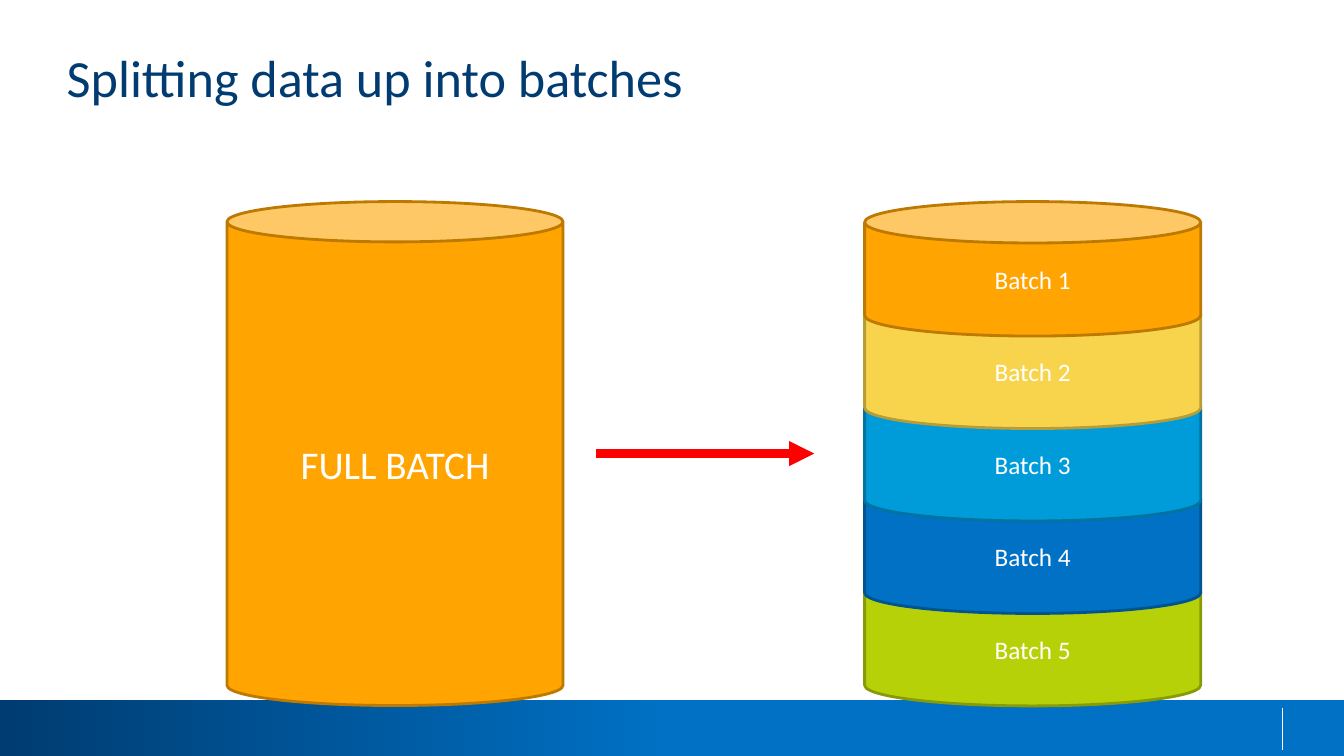
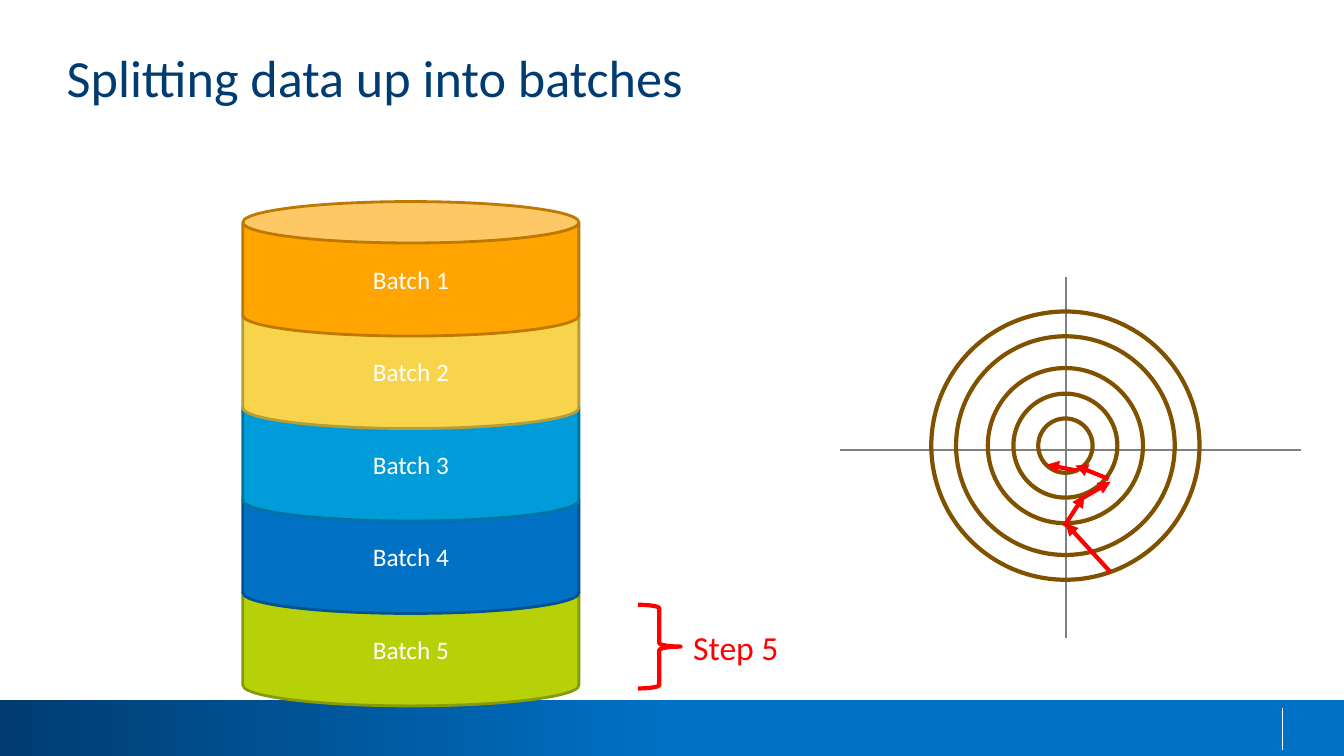
"""Build two slides that show how a full batch of data is split into smaller ones."""
from dataclasses import dataclass

from lxml.etree import SubElement
from pptx import Presentation
from pptx.dml.color import RGBColor
from pptx.enum.shapes import MSO_CONNECTOR, MSO_SHAPE
from pptx.enum.text import MSO_ANCHOR, MSO_AUTO_SIZE, PP_ALIGN
from pptx.oxml.ns import qn
from pptx.util import Cm, Pt

TITLE = "Splitting data up into batches"
FULL_BATCH = "FULL BATCH"
STEP_LABEL = "Step 5"
BATCHES = [
    ("Batch 1", "FFA400", "BD7900"),
    ("Batch 2", "F8D44C", "B79D38"),
    ("Batch 3", "009CDA", "0073A1"),
    ("Batch 4", "0071C5", "005492"),
    ("Batch 5", "B7D108", "879B06"),
]
CONTOUR_CENTRE = (26.85, 11.23)
CONTOUR_DIAMETERS = [6.76, 5.51, 3.91, 2.62, 1.37]
AXES = [((21.16, 11.33), (32.79, 11.33)), ((26.87, 6.99), (26.87, 16.08))]
DESCENT_STEPS = [
    ((27.97, 14.4), (26.85, 13.18)),
    ((26.82, 13.26), (27.33, 12.47)),
    ((27.25, 12.57), (27.99, 12.14)),
    ((27.94, 12.07), (27.1, 11.73)),
    ((27.15, 11.86), (26.37, 11.71)),
]
CAN_TOP, CAN_WIDTH = 5.08, 8.47
FULL_HEIGHT, BATCH_HEIGHT, BATCH_PITCH = 12.7, 3.39, 2.33


@dataclass(frozen=True)
class Theme:
    """Colours and type sizes of the deck."""
    font: str = "Calibri"
    navy: str = "003C71"
    blue: str = "0071C5"
    white: str = "FFFFFF"
    red: str = "FF0000"
    grey: str = "808080"
    brown: str = "805200"
    title_size: float = 37.3
    full_size: float = 28
    step_size: float = 24
    batch_size: float = 18


THEME = Theme()


def rgb(colour):
    """Turn a hex string into a colour."""
    return RGBColor.from_string(colour)


def style_text(frame, size, colour, align=PP_ALIGN.LEFT):
    """Format every run of a text frame."""
    for para in frame.paragraphs:
        para.alignment = align
        for span in para.runs:
            span.font.name = THEME.font
            span.font.size = Pt(size)
            span.font.color.rgb = rgb(colour)


def add_outline(shapes, kind, box, colour, width):
    """Add an unfilled, outlined preset shape; box is in centimetres."""
    shape = shapes.add_shape(kind, *map(Cm, box))
    shape.shadow.inherit = False
    shape.fill.background()
    shape.line.color.rgb = rgb(colour)
    shape.line.width = Pt(width)
    return shape


def add_line(shapes, start, end, colour, width, arrow=False):
    """Add a straight line, with an arrowhead at its end if wanted."""
    line = shapes.add_connector(MSO_CONNECTOR.STRAIGHT, *map(Cm, (*start, *end)))
    line.line.color.rgb = rgb(colour)
    line.line.width = Pt(width)
    properties = line.element.spPr
    if arrow:
        SubElement(properties.find(qn("a:ln")), qn("a:tailEnd"), type="triangle")
    SubElement(properties, qn("a:effectLst"))
    return line


def add_can(page, text, box, rim, fill, edge, size):
    """Add a labelled cylinder."""
    can = add_outline(page.shapes, MSO_SHAPE.CAN, box, edge, 2)
    can.adjustments[0] = rim
    can.fill.solid()
    can.fill.fore_color.rgb = rgb(fill)
    can.text_frame.text = text
    can.text_frame.vertical_anchor = MSO_ANCHOR.MIDDLE
    style_text(can.text_frame, size, THEME.white, PP_ALIGN.CENTER)


def add_batches(page, left):
    """Stack the batches from the bottom up."""
    for index, (text, fill, edge) in reversed(list(enumerate(BATCHES))):
        box = (left, CAN_TOP + index * BATCH_PITCH, CAN_WIDTH, BATCH_HEIGHT)
        add_can(page, text, box, 0.308, fill, edge, THEME.batch_size)


def add_footer(layout, page):
    """Draw the footer band and divider, then move them to the layout."""
    band = page.shapes.add_shape(MSO_SHAPE.RECTANGLE, 0, Cm(17.65), Cm(33.87), Cm(1.4))
    band.shadow.inherit = False
    band.line.fill.background()
    band.fill.gradient()
    band.fill.gradient_angle = 0
    stops = band.fill.gradient_stops
    for stop, colour, position in zip(stops, (THEME.navy, THEME.blue), (0, 0.5)):
        stop.color.rgb = rgb(colour)
        stop.position = position
    divider = add_line(page.shapes, (32.33, 17.83), (32.33, 18.9), THEME.white, 0.75)
    for number, part in enumerate((band, divider), start=101):
        part.element.xpath(".//p:cNvPr")[0].set("id", str(number))
        layout.shapes.element.append(part.element)


def shape_title(layout):
    """Place the title of the layout, which every page inherits."""
    title = layout.placeholders[0]
    title.left, title.top, title.width, title.height = map(Cm, (1.68, 1.14, 30.48, 3.23))
    frame = title.text_frame
    frame.margin_left = frame.margin_right = frame.margin_top = frame.margin_bottom = 0
    frame.vertical_anchor = MSO_ANCHOR.TOP
    frame.auto_size = MSO_AUTO_SIZE.NONE


def add_page(deck, layout):
    """Add a page with the shared title."""
    page = deck.slides.add_slide(layout)
    frame = page.shapes.title.text_frame
    frame.text = TITLE
    style_text(frame, THEME.title_size, THEME.navy)
    return page


def fill_split_page(page):
    """Show the full batch turning into five batches."""
    add_batches(page, 21.79)
    _, fill, edge = BATCHES[0]
    box = (5.72, CAN_TOP, CAN_WIDTH, FULL_HEIGHT)
    add_can(page, FULL_BATCH, box, 0.12, fill, edge, THEME.full_size)
    add_line(page.shapes, (15.01, 11.43), (20.52, 11.43), THEME.red, 6, arrow=True)


def add_step_label(page):
    """Mark the current batch with a brace and a label."""
    brace = (16.08, 15.24, 1.07, 2.11)
    add_outline(page.shapes, MSO_SHAPE.RIGHT_BRACE, brace, THEME.red, 3)
    label = page.shapes.add_textbox(*map(Cm, (17.22, 15.67, 3.02, 1.27)))
    label.text_frame.text = STEP_LABEL
    label.text_frame.word_wrap = False
    label.text_frame.auto_size = MSO_AUTO_SIZE.SHAPE_TO_FIT_TEXT
    style_text(label.text_frame, THEME.step_size, THEME.red)


def fill_descent_page(page):
    """Show the batches beside the descent over the loss contours."""
    add_step_label(page)
    contours = page.shapes.add_group_shape().shapes
    for start, end in AXES:
        add_line(contours, start, end, THEME.grey, 1.5)
    for diameter in CONTOUR_DIAMETERS:
        left, top = (centre - diameter / 2 for centre in CONTOUR_CENTRE)
        box = (left, top, diameter, diameter)
        add_outline(contours, MSO_SHAPE.OVAL, box, THEME.brown, 3)
    for start, end in DESCENT_STEPS:
        add_line(page.shapes, start, end, THEME.red, 3, arrow=True)
    add_batches(page, 6.12)


def main():
    """Build and save the deck."""
    deck = Presentation()
    deck.slide_width, deck.slide_height = Cm(33.87), Cm(19.05)
    layout = deck.slide_layouts.get_by_name("Title Only")
    shape_title(layout)
    split_page, descent_page = (add_page(deck, layout) for _ in range(2))
    add_footer(layout, split_page)
    fill_split_page(split_page)
    fill_descent_page(descent_page)
    deck.save("out.pptx")


if __name__ == "__main__":
    main()
